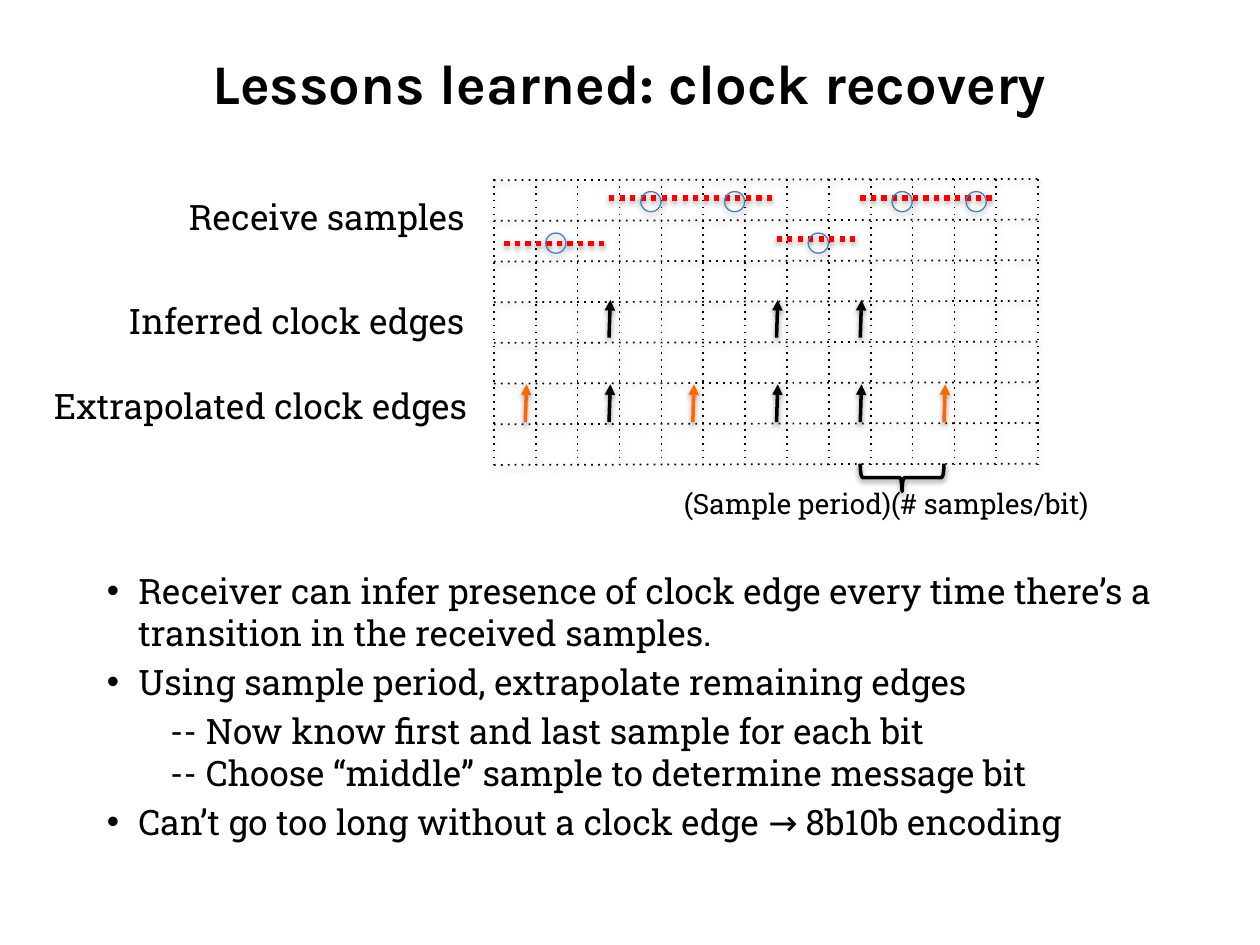
import pptx
import pptx.dml.color
import pptx.enum.shapes
import pptx.enum.text
import pptx.oxml
import pptx.oxml.ns
import pptx.util

COLORS = {"ink": "000000", "signal": "FF0000", "extrapolated": "FF6600", "sample": "4B7EBC"}
TITLE_FONT, BODY_FONT = "Karla", "Roboto Slab"
WIDTH, HEIGHT = 10, 7.5
LEFT, TOP = 3.92, 1.42
COLUMNS, ROWS = 13, 7
COLUMN, ROW = 4.32 / COLUMNS, 2.26 / ROWS
FIRST_EDGE, BIT = 0.75, 2
HIGH, LOW = 0.47, 1.58
CIRCLE = 0.16
inch = pptx.util.Inches


def grid_x(column):
    return LEFT + column * COLUMN


def grid_y(row):
    return TOP + row * ROW


def edge_column(number):
    return FIRST_EDGE + BIT * number


def color(name):
    return pptx.dml.color.RGBColor.from_string(COLORS[name])


def element(parent, tag, **attributes):
    child = pptx.oxml.parse_xml(f"<a:{tag} {pptx.oxml.ns.nsdecls('a')}/>")
    for name, value in attributes.items():
        child.set(name, str(value))
    parent.append(child)
    return child


def style_outline(shape, name, width, opacity=38):
    shape.line.color.rgb = color(name)
    shape.line.width = pptx.util.Pt(width)
    effects = element(shape._element.spPr, "effectLst")
    shadow = element(effects, "outerShdw", blurRad=40000, dist=20000, dir=5400000, rotWithShape=0)
    tint = element(shadow, "srgbClr", val=COLORS["ink"])
    element(tint, "alpha", val=opacity * 1000)


def add_line(page, start, end, name, width, dash=None, arrow=False):
    points = [inch(value) for value in (*start, *end)]
    line = page.shapes.add_connector(pptx.enum.shapes.MSO_CONNECTOR.STRAIGHT, *points)
    style_outline(line, name, width)
    outline = line.line._get_or_add_ln()
    if dash:
        element(outline, "prstDash", val=dash)
    if arrow:
        element(outline, "tailEnd", type="triangle")


def add_outline_shape(page, kind, center, size, name, width, opacity=38, rotation=0):
    left, top = (middle - length / 2 for middle, length in zip(center, size))
    shape = page.shapes.add_shape(kind, inch(left), inch(top), inch(size[0]), inch(size[1]))
    shape.rotation = rotation
    shape.fill.background()
    style_outline(shape, name, width, opacity)


def add_span(para, text, size, font=BODY_FONT, bold=False):
    span = para.add_run()
    span.text = text
    span.font.size = pptx.util.Pt(size)
    span.font.name = font
    span.font.bold = bold
    span.font.color.rgb = color("ink")


def add_box(page, left, top, width, height, wrap=True):
    box = page.shapes.add_textbox(inch(left), inch(top), inch(width), inch(height))
    box.text_frame.word_wrap = wrap
    return box.text_frame


def add_label(page, left, top, width, height, text, size):
    frame = add_box(page, left, top, width, height, wrap=False)
    frame.auto_size = pptx.enum.text.MSO_AUTO_SIZE.SHAPE_TO_FIT_TEXT
    add_span(frame.paragraphs[0], text, size)


def add_title(page, text):
    frame = add_box(page, 0.05 * WIDTH, 0.04 * HEIGHT, 0.9 * WIDTH, 0.7)
    frame.vertical_anchor = pptx.enum.text.MSO_ANCHOR.MIDDLE
    para = frame.paragraphs[0]
    para.alignment = pptx.enum.text.PP_ALIGN.CENTER
    add_span(para, text, 32, TITLE_FONT, True)


def add_lessons(page, lessons):
    frame = add_box(page, 0.75, 4.47, 0.9 * WIDTH, 2.37)
    for number, (bulleted, lines) in enumerate(lessons):
        para = frame.add_paragraph() if number else frame.paragraphs[0]
        if number:
            para.space_before = pptx.util.Pt(4)
        properties = para._p.get_or_add_pPr()
        properties.set("marL", str(inch(0.25 if bulleted else 0.5)))
        properties.set("indent", str(inch(-0.25 if bulleted else 0)))
        if bulleted:
            element(properties, "buFont", typeface="Arial")
            element(properties, "buChar", char="•")
        else:
            element(properties, "buNone")
        for position, line in enumerate(lines):
            if position:
                para.add_line_break()
            add_span(para, line, 20)


def add_grid(page):
    for column in range(COLUMNS + 1):
        x = grid_x(column)
        add_line(page, (x, TOP), (x, grid_y(ROWS)), "ink", 1, "dot")
    for row in range(ROWS + 1):
        y = grid_y(row)
        add_line(page, (LEFT, y + 0.01), (grid_x(COLUMNS), y), "ink", 1, "dot")


def add_signal(page):
    for start, end, level in [(0.25, 2.75, LOW), (2.75, 6.75, HIGH),
                              (6.75, 8.75, 1.48), (8.75, 12, HIGH)]:
        y = grid_y(level)
        add_line(page, (grid_x(start), y), (grid_x(end), y), "signal", 3, "sysDot")


def add_samples(page):
    for column, row in [(1.48, LOW), (3.75, 0.56), (5.75, 0.56),
                        (7.75, LOW), (9.75, 0.56), (11.52, 0.56)]:
        add_outline_shape(page, pptx.enum.shapes.MSO_SHAPE.OVAL, (grid_x(column), grid_y(row)),
                          (CIRCLE, CIRCLE), "sample", 0.75, 35)


def add_edges(page, numbers, base, name):
    for number in numbers:
        x = grid_x(edge_column(number))
        add_line(page, (x, base), (x + 0.01, base - 0.3), name, 2, arrow=True)


def add_period(page):
    center = grid_x(edge_column(4.5)), grid_y(ROWS) + 0.11
    add_outline_shape(page, pptx.enum.shapes.MSO_SHAPE.LEFT_BRACE, center,
                      (0.22, BIT * COLUMN), "ink", 2, rotation=270)
    add_label(page, 5.33, 3.81, 3.57, 0.37, "(Sample period)(# samples/bit)", 16)


def main():
    deck = pptx.Presentation()
    deck.slide_width, deck.slide_height = inch(WIDTH), inch(HEIGHT)
    page = deck.slides.add_slide(deck.slide_layouts[6])
    add_title(page, "Lessons learned: clock recovery")
    add_lessons(page, [
        (True, ["Receiver can infer presence of clock edge every time there’s a "
                "transition in the received samples."]),
        (True, ["Using sample period, extrapolate remaining edges"]),
        (False, ["-- Now know first and last sample for each bit",
                 "-- Choose “middle” sample to determine message bit"]),
        (True, ["Can’t go too long without a clock edge → 8b10b encoding"]),
    ])
    add_grid(page)
    add_signal(page)
    add_period(page)
    for left, top, width, text in [(1.4, 1.5, 2.43, "Receive samples"),
                                   (0.92, 2.33, 2.94, "Inferred clock edges"),
                                   (0.33, 3, 3.61, "Extrapolated clock edges")]:
        add_label(page, left, top, width, 0.44, text, 20)
    add_edges(page, [1, 3, 4], 2.68, "ink")
    add_edges(page, [0, 2, 5], 3.35, "extrapolated")
    add_edges(page, [1, 3, 4], 3.35, "ink")
    add_samples(page)
    deck.save("out.pptx")


if __name__ == "__main__":
    main()
